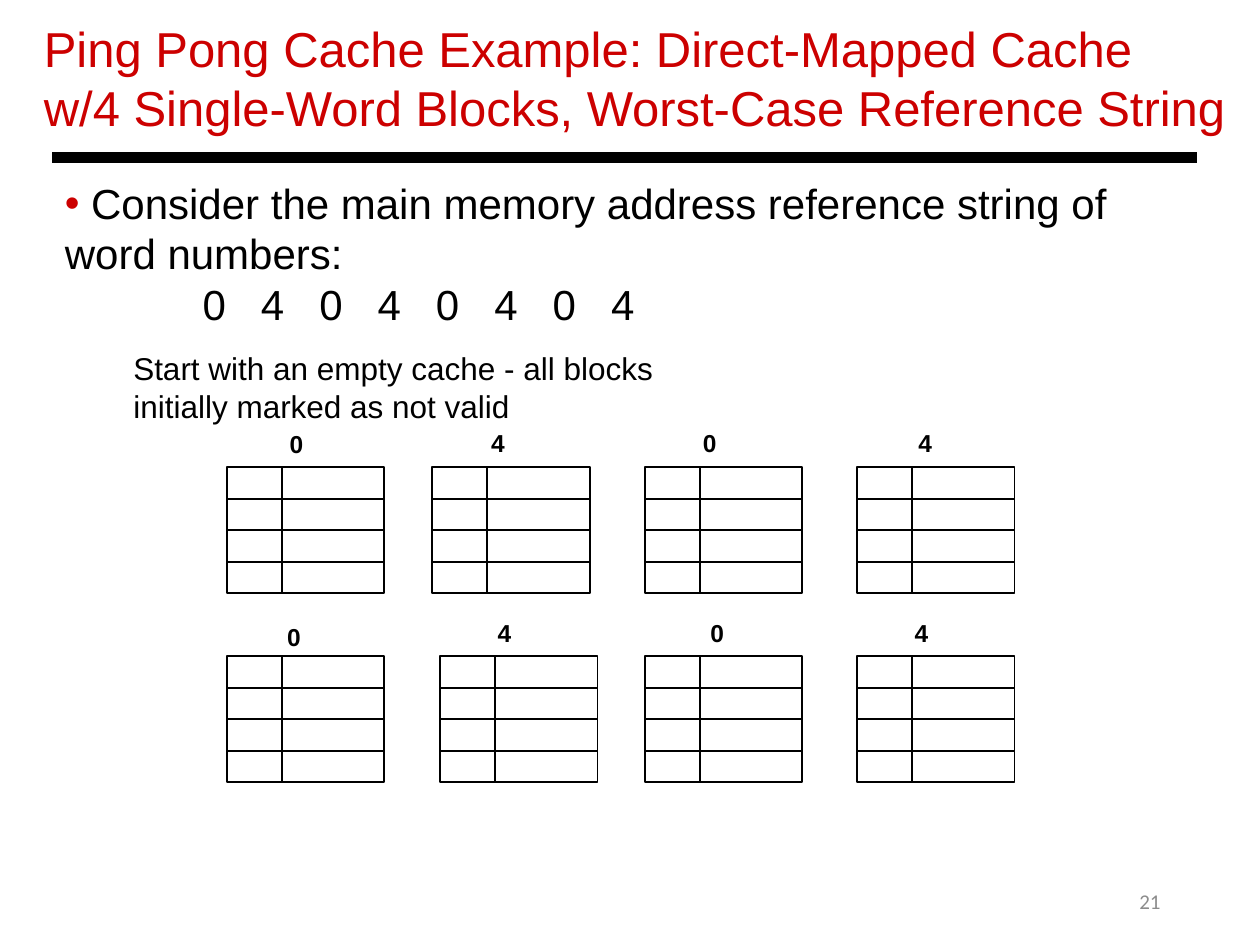
from lxml import etree
from pptx import Presentation
from pptx.dml.color import RGBColor
from pptx.enum.shapes import MSO_CONNECTOR, MSO_SHAPE
from pptx.enum.text import MSO_ANCHOR, MSO_AUTO_SIZE, PP_ALIGN
from pptx.oxml.ns import qn
from pptx.util import Pt

STRAIGHT = MSO_CONNECTOR.STRAIGHT
RECTANGLE = MSO_SHAPE.RECTANGLE
MIDDLE, TOP = MSO_ANCHOR.MIDDLE, MSO_ANCHOR.TOP
LEFT, RIGHT = PP_ALIGN.LEFT, PP_ALIGN.RIGHT
GROW, FIXED = MSO_AUTO_SIZE.SHAPE_TO_FIT_TEXT, MSO_AUTO_SIZE.NONE

# Content
TITLE = ["Ping Pong Cache Example: Direct-Mapped Cache",
         "w/4 Single-Word Blocks, Worst-Case Reference String"]
INTRO = " Consider the main memory address reference string of word numbers:"
REFERENCES = ["0", "4", "0", "4", "0", "4", "0", "4"]
START = "Start with an empty cache - all blocks initially marked as not valid"
PAGE_NUMBER = "21"

# One cache per reference: cache left, cache top, label left, label top
CACHES = [
    (129.6, 267, 158.4, 241.9), (247, 267, 273.6, 241.2),
    (368.5, 267, 394.6, 241.2), (489.8, 267, 517.7, 241.2),
    (129.6, 375, 157, 352.1), (251.5, 375, 277.2, 349.9),
    (368.5, 375, 398.9, 349.9), (489.8, 375, 515.5, 349.9),
]
TAG_WIDTH, DATA_WIDTH = 31.5, 58.5
BLOCKS, BLOCK_HEIGHT = 4, 18
FIRST_TAB, TAB_GAP = 78.7, 33.35

THEME = {
    "font": "Arial", "number_font": "Calibri",
    "ink": RGBColor(0, 0, 0), "accent": RGBColor(0xCC, 0, 0),
    "muted": RGBColor(0x8C, 0x8C, 0x8C),
    "title": 28, "body": 24, "note": 18, "label": 14, "number": 12,
    "rule": 6, "grid": 1,
}


def add_box(page, left, top, width, height, wrap=True, fit=GROW, anchor=TOP):
    box = page.shapes.add_textbox(Pt(left), Pt(top), Pt(width), Pt(height))
    frame = box.text_frame
    frame.word_wrap, frame.auto_size = wrap, fit
    frame.vertical_anchor = anchor
    return frame


def add_span(para, text, size, color="ink", font="font", bold=False):
    span = para.add_run()
    span.text = text
    span.font.name = THEME[font]
    span.font.size = Pt(THEME[size])
    span.font.color.rgb = THEME[color]
    span.font.bold = bold


def add_line(shapes, x1, x2, y, weight):
    line = shapes.add_connector(STRAIGHT, Pt(x1), Pt(y), Pt(x2), Pt(y))
    line.line.color.rgb = THEME["ink"]
    line.line.width = Pt(THEME[weight])
    etree.SubElement(line._element.spPr, qn("a:effectLst"))
    return line


def add_bullet(para):
    props = para._p.get_or_add_pPr()
    props.set("marL", "0")
    props.set("indent", "0")
    color = etree.SubElement(props, qn("a:buClr"))
    etree.SubElement(color, qn("a:srgbClr"), val=str(THEME["accent"]))
    etree.SubElement(props, qn("a:buFont"), typeface=THEME["font"])
    etree.SubElement(props, qn("a:buChar"), char="•")


def add_tabs(para, count):
    tabs = etree.SubElement(para._p.get_or_add_pPr(), qn("a:tabLst"))
    for i in range(count):
        stop = Pt(FIRST_TAB + i * TAB_GAP)
        etree.SubElement(tabs, qn("a:tab"), pos=str(int(stop)), algn="l")


def add_column(page, left, top, width):
    """A column of cache blocks: a frame with evenly spaced dividers."""
    group = page.shapes.add_group_shape()
    frame = group.shapes.add_shape(RECTANGLE, Pt(left), Pt(top), Pt(width),
                                   Pt(BLOCKS * BLOCK_HEIGHT))
    frame.shadow.inherit = False
    frame.fill.background()
    frame.line.color.rgb = THEME["ink"]
    frame.line.width = Pt(THEME["grid"])
    for row in range(1, BLOCKS):
        line = add_line(group.shapes, left, left + width,
                        top + row * BLOCK_HEIGHT, "grid")
        if row * 2 == BLOCKS:
            line.begin_connect(frame, 1)
            line.end_connect(frame, 3)


def main():
    deck = Presentation()
    deck.slide_width, deck.slide_height = Pt(720), Pt(540)
    page = deck.slides.add_slide(deck.slide_layouts[6])

    # Page number
    para = add_box(page, 508.3, 500.4, 162, 28.8, fit=FIXED,
                   anchor=MIDDLE).paragraphs[0]
    para.alignment = RIGHT
    add_span(para, PAGE_NUMBER, "number", "muted", "number_font")

    # Title and rule
    para = add_box(page, 18, 7.2, 697.7, 74.9).paragraphs[0]
    add_span(para, TITLE[0], "title", "accent")
    para.add_line_break()
    add_span(para, TITLE[1], "title", "accent")
    add_line(page.shapes, 30, 684, 90, "rule")

    # Reference string
    frame = add_box(page, 30, 97.9, 650.9, 123.8)
    para = frame.paragraphs[0]
    add_bullet(para)
    add_span(para, INTRO, "body")
    para = frame.add_paragraph()
    para.alignment = LEFT
    add_tabs(para, len(REFERENCES))
    add_span(para, "".join("\t" + word for word in REFERENCES), "body")

    # Cache states with their references
    for word, (left, top, label_left, label_top) in zip(REFERENCES, CACHES):
        add_column(page, left, top, TAG_WIDTH)
        add_column(page, left + TAG_WIDTH, top, DATA_WIDTH)
        label = add_box(page, label_left, label_top, 22.3, 24.5, wrap=False)
        add_span(label.paragraphs[0], word, "label", bold=True)

    # Starting condition
    note = add_box(page, 69.1, 195.8, 347.8, 51.1)
    add_span(note.paragraphs[0], START, "note")

    deck.save("out.pptx")


if __name__ == "__main__":
    main()
